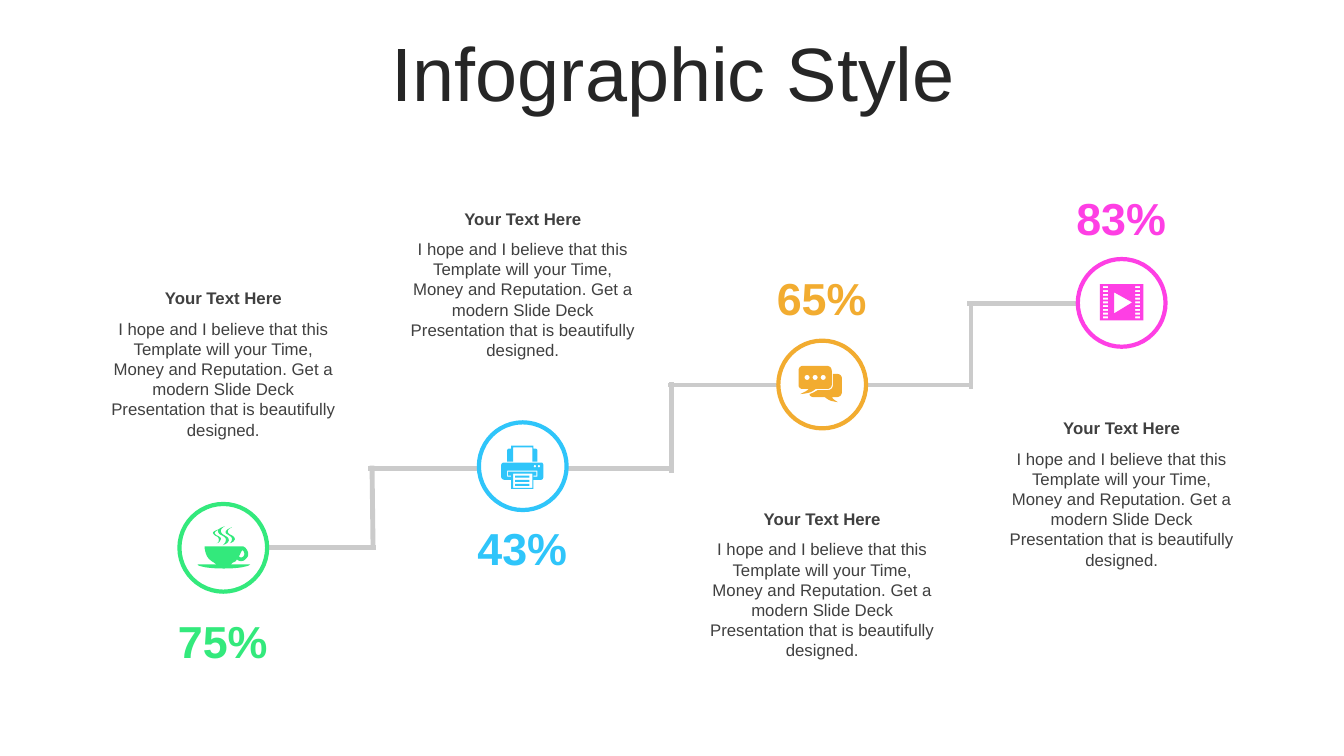
import math
from dataclasses import dataclass

import lxml.etree
import pptx
import pptx.dml.color
import pptx.enum.shapes
import pptx.enum.text
import pptx.oxml.ns
import pptx.util

Inches = pptx.util.Inches
Contour = list[tuple[float, ...]]


@dataclass(frozen=True)
class Theme:
    font: str = "Arial"
    title: str = "262626"
    text: str = "404040"
    track: str = "CBCBCB"
    paper: str = "FFFFFF"
    title_size: int = 54
    number_size: int = 32
    text_size: int = 12
    track_width: float = 3.5
    ring_width: float = 3


@dataclass(frozen=True)
class Step:
    number: str
    color: str
    number_top: float
    heading_top: float
    icon: list[Contour]


@dataclass(frozen=True)
class Track:
    x1: float
    y1: float
    x2: float
    y2: float


def rect(left: float, top: float, right: float, bottom: float) -> Contour:
    return [(left, top), (right, top), (right, bottom), (left, bottom)]


def disc(x: float, y: float, radius: float) -> Contour:
    angles = [math.tau * turn / 16 for turn in range(16)]
    return [(x + radius * math.cos(a), y + radius * math.sin(a)) for a in angles]


def flatten(contour: Contour) -> list[tuple[float, float]]:
    points = [contour[0]]
    for segment in contour[1:]:
        if len(segment) == 2:
            points.append(segment)
            continue
        x0, y0 = points[-1]
        x1, y1, x2, y2, x3, y3 = segment
        for part in range(1, 9):
            t = part / 8
            a, b, c, d = (1 - t) ** 3, 3 * t * (1 - t) ** 2, 3 * t * t * (1 - t), t ** 3
            points.append((a * x0 + b * x1 + c * x2 + d * x3,
                           a * y0 + b * y1 + c * y2 + d * y3))
    return [(10 * x, 10 * y) for x, y in points]


CUP = [
    [(62, 46), (61, 48, 60, 50, 59, 52), (60, 53, 61, 53, 62, 53),
     (64, 52, 65, 50, 64, 48), (64, 47, 63, 46, 62, 46)],
    [(62, 42), (65, 42, 67, 45, 68, 48), (69, 51, 67, 54, 64, 56), (62, 57, 59, 57, 57, 55),
     (56, 57, 54, 58, 53, 58), (52, 59, 51, 60, 50, 60), (70, 60), (69, 62, 58, 64, 44, 64),
     (30, 64, 18, 62, 18, 60), (38, 60), (37, 60, 35, 59, 34, 58), (28, 55, 25, 49, 25, 42)],
    [(39, 25), (37, 27, 35, 27, 35, 29), (36, 32, 42, 32, 41, 35), (40, 37, 40, 38, 37, 39),
     (39, 38, 39, 37, 39, 35), (39, 32, 35, 32, 34, 30), (32, 28, 34, 27, 39, 25)],
    [(52, 23), (49, 25, 48, 25, 48, 28), (49, 31, 55, 31, 55, 35), (54, 37, 53, 38, 50, 39),
     (52, 37, 52, 36, 52, 34), (52, 32, 48, 31, 46, 29), (45, 27, 47, 25, 52, 23)],
    [(45, 22), (42, 24, 41, 25, 41, 27), (42, 32, 49, 31, 49, 36), (48, 39, 47, 39, 43, 41),
     (45, 39, 46, 38, 46, 35), (46, 32, 40, 31, 39, 29), (37, 26, 39, 24, 45, 22)],
]
PRINTER = [
    *[rect(36, top, 50, top + 2) for top in (53, 57, 61)],
    rect(34, 51, 53, 65),
    [(28, 48), (28, 54), (32, 54), (32, 53), (29, 53), (29, 49),
     (57, 49), (57, 53), (54, 53), (54, 54), (58, 54), (58, 48)],
    *[disc(x, 43.5, 1.2) for x in (55.5, 59.5)],
    [(25, 40), (62, 40), (63, 40, 64, 41, 64, 43), (64, 54), (64, 55, 63, 57, 62, 57),
     (54, 57), (54, 66), (32, 66), (32, 57), (25, 57), (23, 57, 22, 55, 22, 54),
     (22, 43), (22, 41, 23, 40, 25, 40)],
    [(32, 23), (54, 23), (54, 26), (56, 26), (57, 26, 58, 27, 58, 28), (58, 39), (53, 39),
     (53, 25), (34, 25), (34, 39), (28, 39), (28, 28), (28, 27, 29, 26, 30, 26), (32, 26)],
]
CHAT = [
    *[disc(x, 36.5, 2.5) for x in (28.5, 36.5, 44.5)],
    [(54, 33), (58, 33), (61, 33, 63, 35, 63, 37), (63, 51), (63, 54, 61, 56, 58, 56),
     (53, 56), (54, 57, 54, 58, 59, 61), (51, 60, 50, 59, 46, 56), (35, 56),
     (33, 56, 31, 55, 31, 53), (34, 52, 36, 51, 39, 49), (49, 49), (52, 49, 54, 47, 54, 45)],
    [(24, 25), (48, 25), (51, 25, 53, 27, 53, 30), (53, 44), (53, 46, 51, 48, 48, 48),
     (37, 48), (32, 52, 30, 52, 22, 53), (27, 50, 27, 51, 30, 48), (24, 48),
     (22, 48, 20, 46, 20, 44), (20, 30), (20, 27, 22, 25, 24, 25)],
]
FILM = [
    *[rect(left, 27 + 3.75 * row, left + 5, 29 + 3.75 * row)
      for left in (25, 57) for row in range(9)],
    [(36, 33), (36, 54), (54, 43)],
    rect(22, 25, 65, 61),
]

THEME = Theme()
STEPS = [
    Step("75%", "33E97C", 6.04, 2.81, CUP),
    Step("43%", "2FC5FA", 5.12, 2.02, PRINTER),
    Step("65%", "F2AC30", 2.64, 5.0, CHAT),
    Step("83%", "FE3FE4", 1.84, 4.1, FILM),
]
TRACKS = [
    Track(6.63, 3.82, 9.63, 3.82), Track(6.67, 4.65, 3.65, 4.65),
    Track(3.73, 5.43, 2.65, 5.43), Track(10.68, 3.01, 9.59, 3.01),
    Track(3.69, 4.62, 3.7, 5.44), Track(6.66, 3.79, 6.66, 4.69),
    Track(9.63, 3.01, 9.63, 3.86),
]
STEP_ACROSS, STEP_UP = 2.97, 0.81
HEADING = "Your Text Here"
BODY = ("I hope and I believe that this Template will your Time, Money and Reputation. "
        "Get a modern Slide Deck Presentation that is beautifully designed.")


def rgb(color: str) -> pptx.dml.color.RGBColor:
    return pptx.dml.color.RGBColor.from_string(color)


def write(box, text: str, size: int, color: str, bold: bool = False):
    box.text_frame.word_wrap = True
    para = box.text_frame.paragraphs[0]
    para.alignment = pptx.enum.text.PP_ALIGN.CENTER
    span = para.add_run()
    span.text = text
    span.font.name = THEME.font
    span.font.size = pptx.util.Pt(size)
    span.font.bold = bold
    span.font.color.rgb = rgb(color)
    return para


def add_text(page, left: float, top: float, width: float, height: float,
             text: str, size: int, color: str, bold: bool) -> None:
    box = page.shapes.add_textbox(Inches(left), Inches(top), Inches(width), Inches(height))
    write(box, text, size, color, bold)
    box.text_frame.auto_size = pptx.enum.text.MSO_AUTO_SIZE.SHAPE_TO_FIT_TEXT


def add_title(page, text: str) -> None:
    title = page.shapes.title
    title.left, title.top = Inches(0.35), Inches(0.37)
    title.width, title.height = Inches(12.66), Inches(0.79)
    title.text_frame.vertical_anchor = pptx.enum.text.MSO_ANCHOR.MIDDLE
    title.text_frame.auto_size = pptx.enum.text.MSO_AUTO_SIZE.NONE
    write(title, text, THEME.title_size, THEME.title).line_spacing = 0.9


def add_track(page, track: Track) -> None:
    line = page.shapes.add_connector(
        pptx.enum.shapes.MSO_CONNECTOR.STRAIGHT,
        Inches(track.x1), Inches(track.y1), Inches(track.x2), Inches(track.y2))
    line.line.color.rgb = rgb(THEME.track)
    line.line.width = pptx.util.Pt(THEME.track_width)
    lxml.etree.SubElement(line._element.spPr, pptx.oxml.ns.qn("a:effectLst"))


def add_icon(page, left: float, top: float, icon: list[Contour], color: str) -> None:
    outlines = [flatten(contour) for contour in icon]
    builder = page.shapes.build_freeform(*outlines[0][0], scale=914.4)
    for outline in outlines:
        builder.move_to(*outline[0])
        builder.add_line_segments(outline[1:], close=True)
    shape = builder.convert_to_shape(Inches(left), Inches(top))
    shape.shadow.inherit = False
    shape.fill.solid()
    shape.fill.fore_color.rgb = rgb(color)
    shape.line.fill.background()


def add_step(page, index: int, step: Step) -> None:
    shift = STEP_ACROSS * index
    left, top = 1.78 + shift, 5 - STEP_UP * index
    ring = page.shapes.add_shape(pptx.enum.shapes.MSO_SHAPE.OVAL, Inches(left), Inches(top),
                                 Inches(0.87), Inches(0.87))
    ring.shadow.inherit = False
    ring.fill.solid()
    ring.fill.fore_color.rgb = rgb(THEME.paper)
    ring.line.color.rgb = rgb(step.color)
    ring.line.width = pptx.util.Pt(THEME.ring_width)
    add_icon(page, left, top, step.icon, step.color)
    add_text(page, 1.59 + shift, step.number_top, 1.24, 0.64,
             step.number, THEME.number_size, step.color, True)
    add_text(page, 0.97 + shift, step.heading_top, 2.49, 0.3,
             HEADING, THEME.text_size, THEME.text, True)
    add_text(page, 0.97 + shift, step.heading_top + 0.3, 2.49, 1.31,
             BODY, THEME.text_size, THEME.text, False)


def main() -> None:
    deck = pptx.Presentation()
    deck.slide_width, deck.slide_height = Inches(13.33), Inches(7.5)
    page = deck.slides.add_slide(deck.slide_layouts[5])
    add_title(page, "Infographic Style")
    for track in TRACKS:
        add_track(page, track)
    for index, step in enumerate(STEPS):
        add_step(page, index, step)
    deck.save("out.pptx")


if __name__ == "__main__":
    main()
